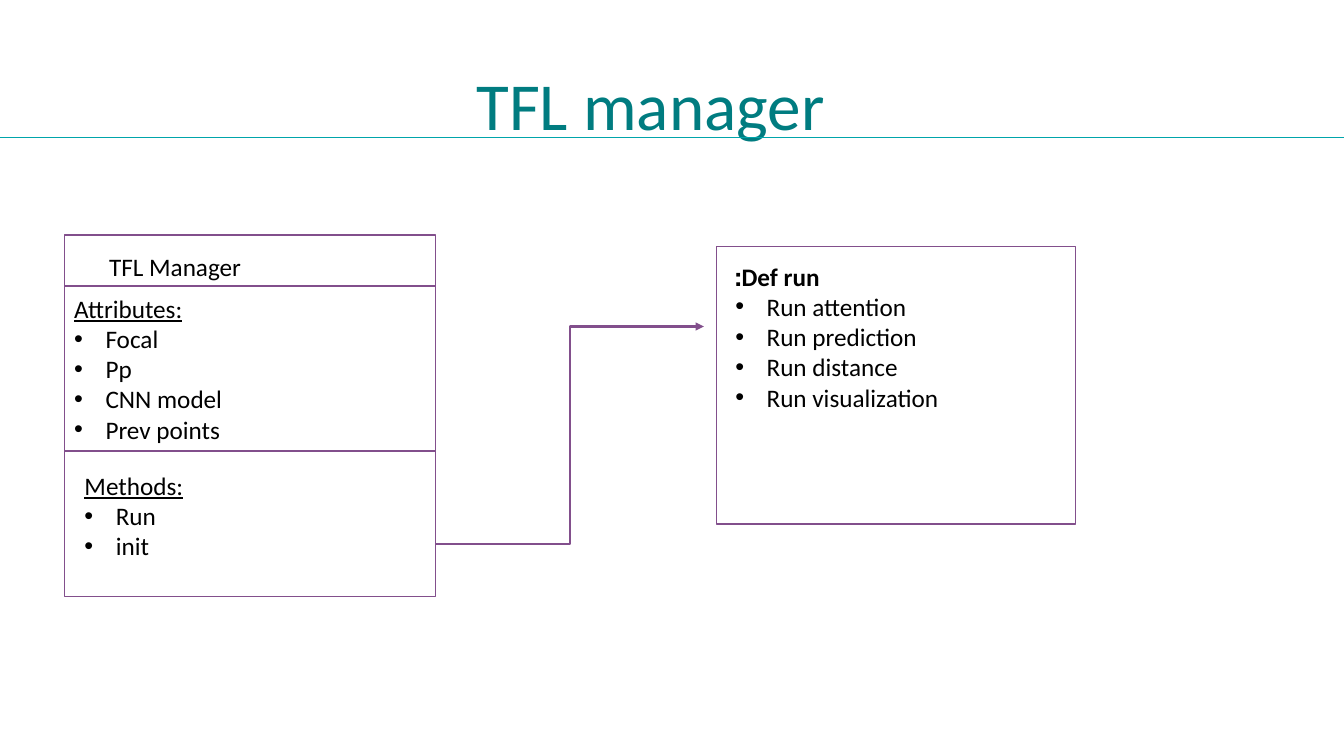
"""Build the TFL manager class diagram slide."""
from lxml import etree
from pptx import Presentation
from pptx.dml.color import RGBColor
from pptx.enum import shapes, text
from pptx.oxml import ns
from pptx.util import Cm, Pt

TEAL = RGBColor(0x00, 0x7C, 0x80)
RULE_TEAL = RGBColor(0x00, 0xA5, 0xAB)
PURPLE = RGBColor(0x82, 0x4F, 0x8C)
WHITE = RGBColor(0xFF, 0xFF, 0xFF)
BLACK = RGBColor(0x00, 0x00, 0x00)
INDENT = Cm(0.79)


def add_line(kind, begin, end, color, width):
    line = slide.shapes.add_connector(kind, *map(Cm, begin + end))
    line.line.color.rgb = color
    line.line.width = Pt(width)
    etree.SubElement(line._element.spPr, ns.qn("a:effectLst"))
    return line


def set_font(font, **values):
    for key, value in values.items():
        setattr(font, key, value)


deck = Presentation()
deck.slide_width, deck.slide_height = Cm(33.87), Cm(19.05)
slide = deck.slides.add_slide(deck.slide_layouts[5])

title = slide.shapes.title
title.left, title.top, title.width, title.height = Cm(0.81), Cm(0.46), Cm(31.17), Cm(3)
title.text_frame.auto_size = text.MSO_AUTO_SIZE.NONE
title.text_frame.vertical_anchor = text.MSO_ANCHOR.TOP
heading = title.text_frame.paragraphs[0]
heading.text = "TFL manager"
heading.alignment = text.PP_ALIGN.CENTER
heading.line_spacing = 1.5
set_font(heading.font, name="Calibri", size=Pt(48))
heading.font.color.rgb = TEAL

STRAIGHT, ELBOW = shapes.MSO_CONNECTOR.STRAIGHT, shapes.MSO_CONNECTOR.ELBOW
add_line(STRAIGHT, (0, 3.45), (33.87, 3.45), RULE_TEAL, 0.5)

CLASS_LEFT, CLASS_RIGHT = 1.62, 10.97
run_frame = (18.06, 6.22, 9.04, 6.99)
class_frame = (CLASS_LEFT, 5.92, CLASS_RIGHT - CLASS_LEFT, 9.12)
for frame in (run_frame, class_frame):
    box = slide.shapes.add_shape(shapes.MSO_SHAPE.RECTANGLE, *map(Cm, frame))
    box.shadow.inherit = False
    box.fill.solid()
    box.fill.fore_color.rgb = WHITE
    box.line.color.rgb = PURPLE
    box.line.width = Pt(1)

for divider in (7.21, 11.36):
    add_line(STRAIGHT, (CLASS_LEFT, divider), (CLASS_RIGHT, divider), PURPLE, 1.5)

sections = [
    ((18.28, 6.45, 9.35, 4.11), "Def run:", {"bold": True}, True,
     ["Run attention", "Run prediction", "Run distance", "Run visualization"]),
    ((2.5, 6.2, 4.83, 1.02), "TFL Manager", {}, True, []),
    ((1.62, 7.26, 8.23, 4.11), "Attributes:", {"underline": True}, False,
     ["Focal", "Pp", "CNN model", "Prev points"]),
    ((1.88, 11.72, 7.7, 3.33), "Methods:", {"underline": True}, False,
     ["Run", "init"]),
]
for frame, label, label_format, right_to_left, members in sections:
    section = slide.shapes.add_textbox(*map(Cm, frame)).text_frame
    section.word_wrap = True
    for row, words in enumerate([label] + members):
        entry = section.add_paragraph() if row else section.paragraphs[0]
        entry.text = words
        entry.alignment = text.PP_ALIGN.LEFT
        properties = entry._p.get_or_add_pPr()
        if row:
            properties.set("marL", str(INDENT))
            properties.set("indent", str(-INDENT))
            etree.SubElement(properties, ns.qn("a:buFont"), typeface="Arial")
            etree.SubElement(properties, ns.qn("a:buChar"), char="•")
        elif right_to_left:
            properties.set("rtl", "1")
        font = entry.runs[0].font
        set_font(font, name="Calibri", size=Pt(18), **({} if row else label_format))
        font.color.rgb = BLACK

run_arrow = add_line(ELBOW, (CLASS_RIGHT, 13.72), (17.74, 8.23), PURPLE, 1.5)
etree.SubElement(run_arrow.line._get_or_add_ln(), ns.qn("a:tailEnd"), type="triangle")

deck.save("out.pptx")
